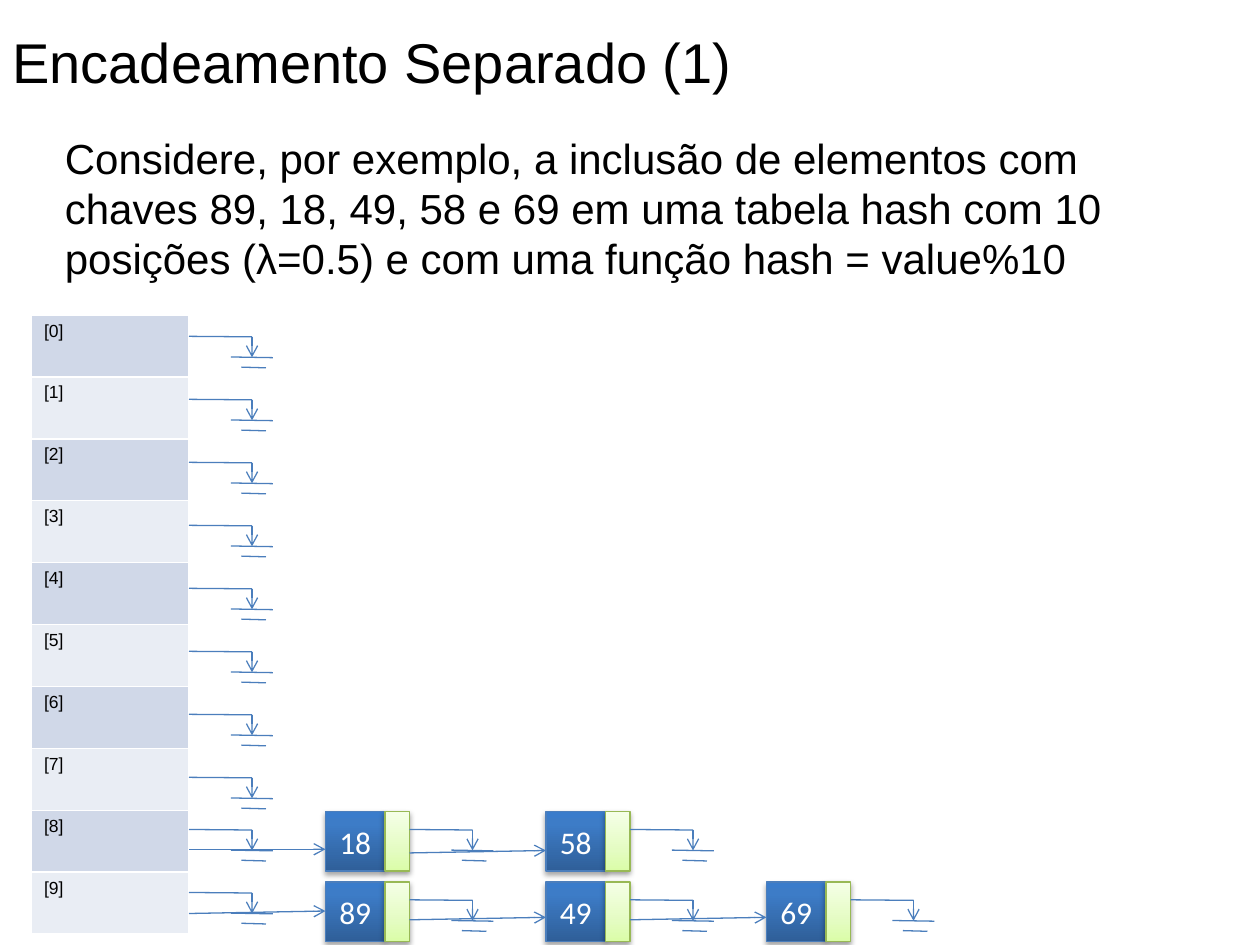
from dataclasses import dataclass

from lxml.etree import SubElement
from pptx import Presentation
from pptx.dml.color import RGBColor
from pptx.enum.shapes import MSO_CONNECTOR, MSO_SHAPE
from pptx.enum.text import MSO_ANCHOR, MSO_AUTO_SIZE, PP_ALIGN
from pptx.oxml import parse_xml
from pptx.oxml.ns import nsdecls, qn
from pptx.util import Pt

BLUE = "4B7EBC"
GREEN = "98B955"
LEFT, WIDE = 18, 90
EDGE = LEFT + WIDE
FIRST, STEP = 186, 126
KEY, LINK, TALL = 34, 14, 34


@dataclass
class Style:
    line: str
    stops: list[tuple[int, str]]
    alpha: int
    dist: float


@dataclass
class Chain:
    keys: list[str]
    top: float
    start: tuple[float, float]
    later: tuple[float, float]


BOX = Style(BLUE, [(0, "2F5F99"), (80, "3D7CC7"), (100, "3A7CCB")], 35, 1.8)
NEXT = Style(GREEN, [(0, "DAFDA7"), (35, "E4FCC2"), (100, "F5FFE7")], 38, 1.6)
CHAINS = [
    Chain(["89", "49", "69"], 504, (522, 520.6), (525.6, 524.2)),
    Chain(["18", "58"], 463.8, (485.3, 485.3), (487.4, 486)),
]
HEADS = [192.2 + 36 * n for n in range(8)] + [474, 510]


def tint(code: str) -> RGBColor:
    return RGBColor.from_string(code)


def write(frame, text: str, size: float, font: str, color: str) -> None:
    run = frame.paragraphs[0].add_run()
    run.text = text
    run.font.size = Pt(size)
    run.font.name = font
    run.font.color.rgb = tint(color)


def label(shapes, area: tuple, text: str, size: float, wrap: bool) -> None:
    frame = shapes.add_textbox(*map(Pt, area)).text_frame
    frame.word_wrap = wrap
    frame.auto_size = MSO_AUTO_SIZE.SHAPE_TO_FIT_TEXT
    write(frame, text, size, "Arial", "000000")


def wire(shapes, ends: tuple, arrow: bool = False) -> None:
    line = shapes.add_connector(MSO_CONNECTOR.STRAIGHT, *map(Pt, ends))
    line.line.color.rgb = tint(BLUE)
    line.line.width = Pt(0.75)
    if arrow:
        SubElement(line.line._get_or_add_ln(), qn("a:tailEnd"), type="arrow")
    SubElement(line._element.spPr, qn("a:effectLst"))


def ground(shapes, x: float, y: float) -> None:
    group = shapes.add_group_shape().shapes
    wire(group, (x, y, x + 36, y + 0.3))
    wire(group, (x + 36, y + 0.3, x + 36, y + 12), True)
    wire(group, (x + 24, y + 11.8, x + 48, y + 12.2))
    wire(group, (x + 30, y + 17.6, x + 44, y + 18))


def block(shapes, area: tuple, style: Style):
    shape = shapes.add_shape(MSO_SHAPE.RECTANGLE, *map(Pt, area))
    shape.line.color.rgb = tint(style.line)
    shape.line.width = Pt(0.75)
    shape.fill.solid()
    stops = "".join(
        f'<a:gs pos="{pos * 1000}"><a:srgbClr val="{code}"/></a:gs>'
        for pos, code in style.stops
    )
    props = shape._element.spPr
    props.replace(props.find(qn("a:solidFill")), parse_xml(
        f'<a:gradFill {nsdecls("a")} rotWithShape="1"><a:gsLst>{stops}</a:gsLst>'
        '<a:lin ang="16200000" scaled="0"/></a:gradFill>'
    ))
    shape.shadow.inherit = False
    props.find(qn("a:effectLst")).append(parse_xml(
        f'<a:outerShdw {nsdecls("a")} blurRad="{Pt(3.1)}" dist="{Pt(style.dist)}" '
        'dir="5400000" rotWithShape="0"><a:srgbClr val="000000">'
        f'<a:alpha val="{style.alpha * 1000}"/></a:srgbClr></a:outerShdw>'
    ))
    return shape


def node(shapes, x: float, y: float, key: str) -> None:
    group = shapes.add_group_shape().shapes
    frame = block(group, (x, y, KEY, TALL), BOX).text_frame
    frame.vertical_anchor = MSO_ANCHOR.MIDDLE
    frame.paragraphs[0].alignment = PP_ALIGN.CENTER
    write(frame, key, 18, "Calibri", "FFFFFF")
    block(group, (x + KEY, y, LINK, TALL), NEXT)


def border(cell) -> None:
    props = cell._tc.get_or_add_tcPr()
    for n, side in enumerate(("lnL", "lnR", "lnT", "lnB")):
        props.insert(n, parse_xml(
            f'<a:{side} {nsdecls("a")} w="{Pt(1)}"><a:solidFill>'
            f'<a:srgbClr val="FFFFFF"/></a:solidFill></a:{side}>'
        ))


def slots(shapes, count: int) -> None:
    area = (LEFT, 180, WIDE, 35.4 * count)
    table = shapes.add_table(count, 1, *map(Pt, area)).table
    table.first_row = False
    for n in range(count):
        table.rows[n].height = Pt(35.4)
        cell = table.cell(n, 0)
        cell.fill.solid()
        cell.fill.fore_color.rgb = tint("E9EDF4" if n % 2 else "D0D8E8")
        border(cell)
        write(cell.text_frame, f"[{n}]", 10, "Arial", "000000")


def main() -> None:
    """Build the separate chaining slide."""
    deck = Presentation()
    deck.slide_width, deck.slide_height = Pt(720), Pt(540)
    shapes = deck.slides.add_slide(deck.slide_layouts[6]).shapes
    label(shapes, (0, 12, 428, 46), "Encadeamento Separado (1)", 32, False)
    label(
        shapes, (30, 72, 648, 94.5),
        "Considere, por exemplo, a inclusão de elementos com chaves 89, 18, 49, "
        "58 e 69 em uma tabela hash com 10 posições (λ=0.5) e com uma função "
        "hash = value%10", 24, True,
    )
    slots(shapes, len(HEADS))
    for y in HEADS:
        ground(shapes, EDGE, y)
    for chain in CHAINS:
        for n, key in enumerate(chain.keys):
            x = FIRST + STEP * n
            node(shapes, x, chain.top, key)
            ground(shapes, x + KEY + LINK, chain.top + 10.2)
    for chain in CHAINS:
        for n in range(len(chain.keys)):
            x = FIRST + STEP * n
            tail, head = chain.later if n else chain.start
            wire(shapes, (x - 78, tail, x, head), True)
    deck.save("out.pptx")


main()
